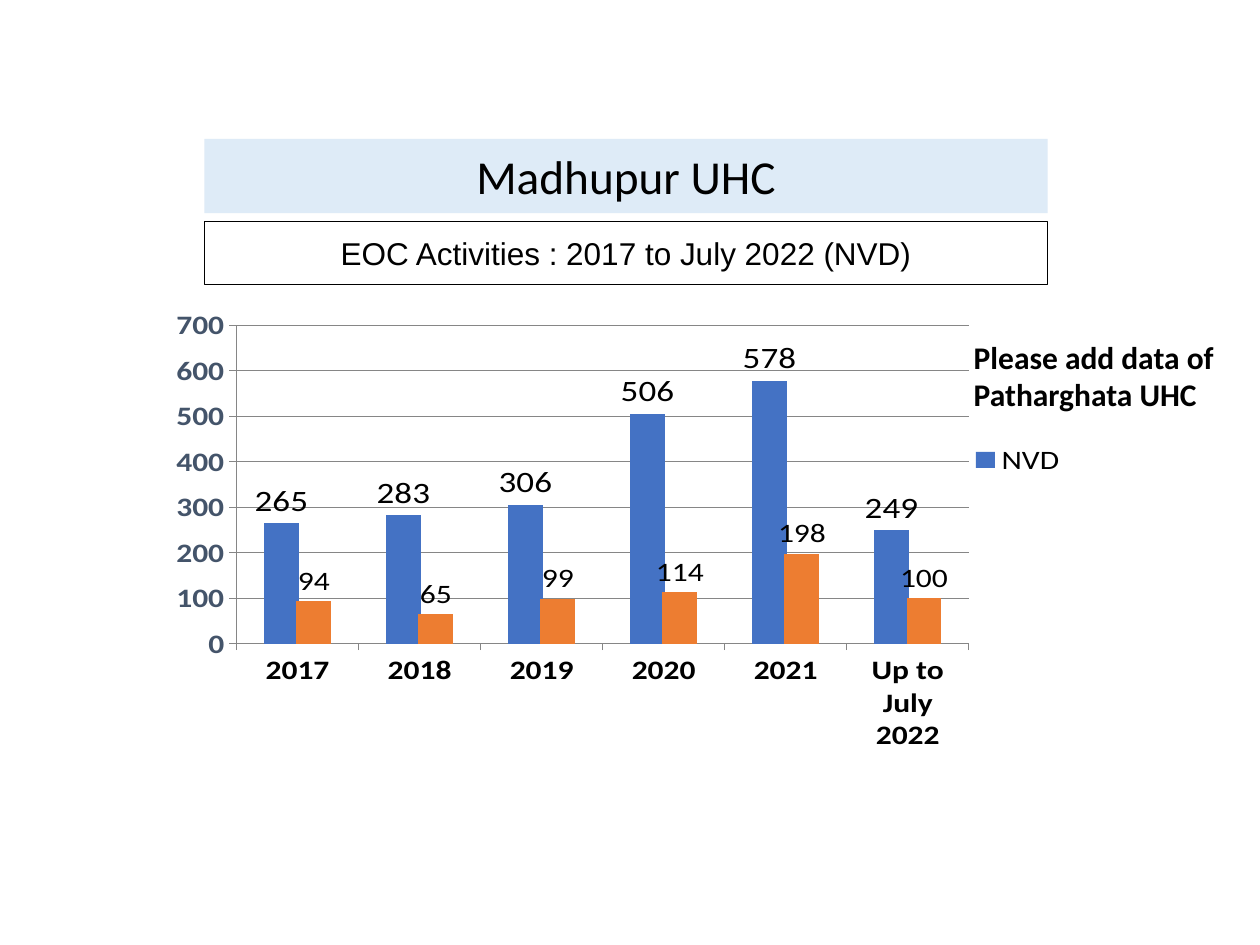
from lxml.etree import SubElement
from pptx import Presentation
from pptx.chart.data import CategoryChartData
from pptx.dml.color import RGBColor
from pptx.enum.chart import XL_CHART_TYPE as ChartType
from pptx.enum.chart import XL_LABEL_POSITION as LabelPosition
from pptx.enum.chart import XL_LEGEND_POSITION as LegendPosition
from pptx.enum.chart import XL_TICK_MARK as TickMark
from pptx.enum.shapes import MSO_SHAPE as Shape
from pptx.enum.text import MSO_ANCHOR as Anchor
from pptx.enum.text import PP_ALIGN as Align
from pptx.oxml.ns import qn
from pptx.util import Cm, Pt

BLACK, GREY = "000000", "868686"
CATEGORIES = ["2017", "2018", "2019", "2020", "2021", "Up to July 2022"]
SERIES = [
    ("NVD", [265, 283, 306, 506, 578, 249], "4472C4", 20),
    ("C-Section", [94, 65, 99, 114, 198, 100], "ED7D31", 18),
]


def colour(value):
    return RGBColor.from_string(value)


def set_font(font, size, name="Calibri", ink=BLACK, bold=False):
    font.size = Pt(size)
    font.name = name
    font.bold = bold
    font.color.rgb = colour(ink)


def add_banner(page, box, text, size, name, fill, line=None):
    banner = page.shapes.add_shape(Shape.RECTANGLE, *map(Cm, box))
    banner.shadow.inherit = False
    banner.fill.solid()
    banner.fill.fore_color.rgb = colour(fill)
    if line:
        banner.line.color.rgb = colour(line)
        banner.line.width = Pt(0.75)
    else:
        banner.line.fill.background()
    frame = banner.text_frame
    frame.word_wrap = True
    frame.vertical_anchor = Anchor.MIDDLE
    para = frame.paragraphs[0]
    para.text = text
    para.alignment = Align.CENTER
    set_font(para.font, size, name)


def add_note(page, box, lines):
    frame = page.shapes.add_textbox(*map(Cm, box)).text_frame
    frame.word_wrap = True
    frame.text = "\n".join(lines)
    for para in frame.paragraphs:
        set_font(para.font, 18, bold=True)


def add_layout(parent, place, inner=False):
    for old in parent.findall(qn("c:layout")):
        parent.remove(old)
    layout = SubElement(parent, qn("c:layout"))
    manual = SubElement(layout, qn("c:manualLayout"))
    if inner:
        SubElement(manual, qn("c:layoutTarget")).set("val", "inner")
    for key in ("xMode", "yMode"):
        SubElement(manual, qn(f"c:{key}")).set("val", "edge")
    for key, value in zip("xywh", place):
        SubElement(manual, qn(f"c:{key}")).set("val", str(value))
    return layout


def style_axis(axis, ink):
    set_font(axis.tick_labels.font, 18, ink=ink, bold=True)
    axis.major_tick_mark = TickMark.OUTSIDE
    axis.minor_tick_mark = TickMark.NONE
    axis.format.line.color.rgb = colour(GREY)


def add_legend(chart):
    chart.has_legend = True
    legend = chart.legend
    legend.position = LegendPosition.RIGHT
    legend.include_in_layout = False
    set_font(legend.font, 18)
    element = legend._element
    layout = add_layout(element, (0.82, 0.36, 0.14, 0.11))
    entry = SubElement(element, qn("c:legendEntry"))
    SubElement(entry, qn("c:idx")).set("val", "1")
    SubElement(entry, qn("c:delete")).set("val", "1")
    position = element.find(qn("c:legendPos"))
    position.addnext(layout)
    position.addnext(entry)


def add_activity_chart(page, box):
    data = CategoryChartData()
    data.categories = CATEGORIES
    for name, values, _, _ in SERIES:
        data.add_series(name, values)
    frame = page.shapes.add_chart(ChartType.COLUMN_CLUSTERED, *map(Cm, box), data)
    chart = frame.chart
    chart.has_title = False
    set_font(chart.font, 18)
    plot = chart.plots[0]
    plot.gap_width = 157
    plot.overlap = 7
    plot.vary_by_categories = False
    for series, (_, _, fill, size) in zip(plot.series, SERIES):
        series.format.fill.solid()
        series.format.fill.fore_color.rgb = colour(fill)
        labels = series.data_labels
        labels.show_value = True
        labels.position = LabelPosition.OUTSIDE_END
        set_font(labels.font, size)
    style_axis(chart.category_axis, BLACK)
    style_axis(chart.value_axis, "44546A")
    chart.value_axis.maximum_scale = 700
    chart.value_axis.minimum_scale = 0
    chart.value_axis.major_unit = 100
    chart.value_axis.major_gridlines.format.line.color.rgb = colour(GREY)
    area = plot._element.getparent()
    area.insert(0, add_layout(area, (0.09, 0.06, 0.75, 0.84), inner=True))
    add_legend(chart)


def main():
    deck = Presentation()
    deck.slide_width, deck.slide_height = Cm(25.4), Cm(19.05)
    page = deck.slides.add_slide(deck.slide_layouts[6])
    left, width = 4.12, 17
    add_banner(page, (left, 2.8, width, 1.5), "Madhupur UHC", 27, "Calibri", "DEEBF7")
    add_banner(page, (left, 4.47, width, 1.27),
               "EOC Activities : 2017 to July 2022 (NVD)", 18, "Arial", "FFFFFF", BLACK)
    add_activity_chart(page, (3, 6.1, 19.68, 9.04))
    add_note(page, (19.38, 6.68, 5.64, 1.8), ["Please add data of", "Patharghata UHC"])
    deck.save("out.pptx")


if __name__ == "__main__":
    main()
